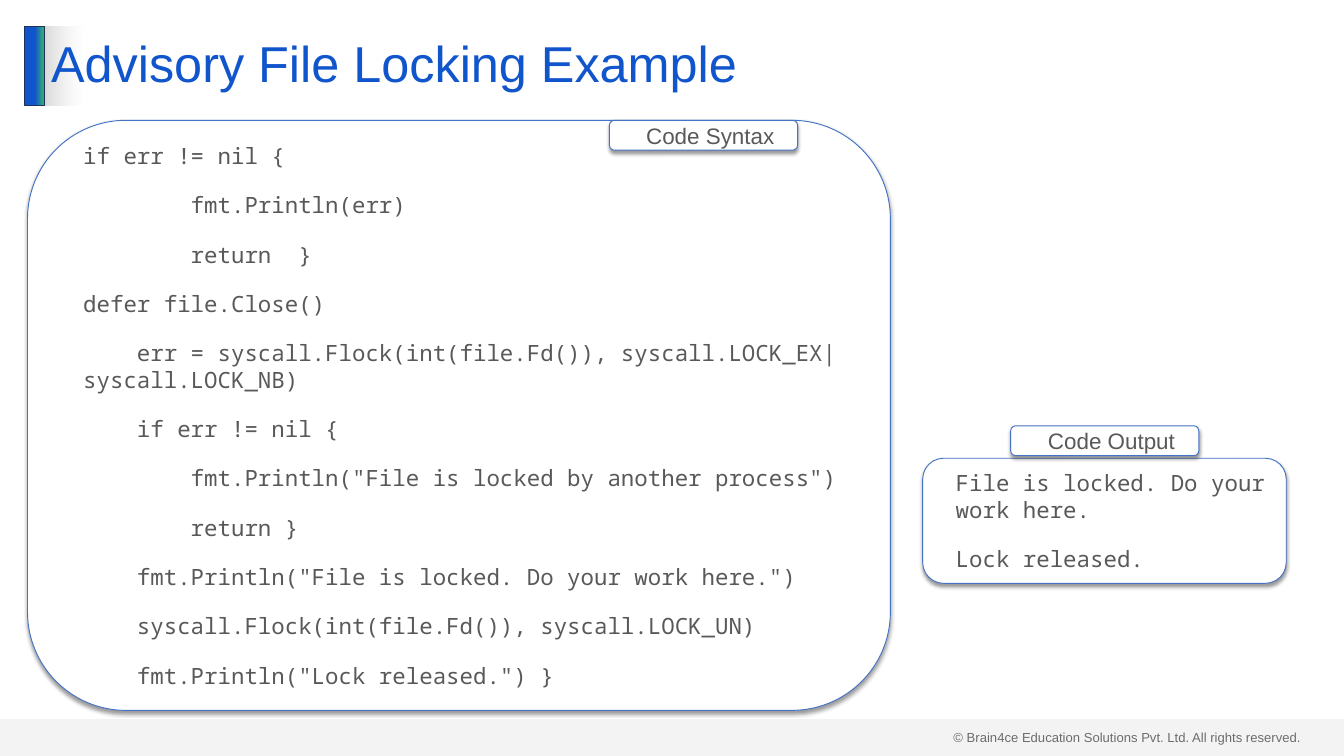
from lxml import etree
from pptx import Presentation
from pptx import util as u
from pptx.dml import color
from pptx.enum import shapes, text
from pptx.oxml import ns

COLORS = {
    "blue": "1155CC", "green": "2EA87D", "navy": "1E3256", "outline": "4472C4",
    "white": "FFFFFF", "grey": "D9D9D9", "body": "595959", "footer": "404040", "black": "000000",
}
SANS, MONO = "Arial", "Noto Sans Mono"
GAP = 12
LABEL_WIDTH, LABEL_HEIGHT = 201.6, 32

CODE = """if err != nil {
        fmt.Println(err)
        return  }
defer file.Close()
    err = syscall.Flock(int(file.Fd()), syscall.LOCK_EX|syscall.LOCK_NB)
    if err != nil {
        fmt.Println("File is locked by another process")
        return }
    fmt.Println("File is locked. Do your work here.")
    syscall.Flock(int(file.Fd()), syscall.LOCK_UN)
    fmt.Println("Lock released.") }"""
OUTPUT = """File is locked. Do your work here.
Lock released."""


def rgb(name):
    return color.RGBColor.from_string(COLORS[name])


def child(parent, tag, **attributes):
    element = etree.SubElement(parent, ns.qn(f"a:{tag}"))
    for key, value in attributes.items():
        element.set(key, str(value))
    return element


def add_color(parent, name, alpha=100):
    element = child(parent, "srgbClr", val=COLORS[name])
    if alpha < 100:
        child(element, "alpha", val=alpha * 1000)


def set_gradient(shape, stops):
    shape.fill.gradient()
    shape.fill.gradient_angle = 0
    stop_list = shape._element.spPr.find(ns.qn("a:gradFill")).find(ns.qn("a:gsLst"))
    for stop in list(stop_list):
        stop_list.remove(stop)
    for position, name, alpha in stops:
        add_color(child(stop_list, "gs", pos=position * 1000), name, alpha)


def set_shadow(shape):
    shape.shadow.inherit = False
    effects = shape._element.spPr.find(ns.qn("a:effectLst"))
    shadow = child(effects, "outerShdw", blurRad=u.Pt(4), dist=u.Pt(3),
                   dir=5400000, algn="t", rotWithShape=0)
    add_color(shadow, "black", 40)


def write(frame, content, font=SANS, size=24, ink="body", align=text.PP_ALIGN.LEFT,
          anchor=text.MSO_ANCHOR.MIDDLE, insets=(7.2, 3.6), indent=0, gap=0, line_spacing=None):
    frame.word_wrap = True
    frame.vertical_anchor = anchor
    frame.margin_left = frame.margin_right = u.Pt(insets[0])
    frame.margin_top = frame.margin_bottom = u.Pt(insets[1])
    lines = content.split("\n")
    for index, line in enumerate(lines):
        paragraph = frame.add_paragraph() if index else frame.paragraphs[0]
        paragraph.text = line
        paragraph.alignment = align
        paragraph.space_before = u.Pt(gap if index else 0)
        paragraph.space_after = u.Pt(gap if index < len(lines) - 1 else 0)
        if line_spacing:
            paragraph.line_spacing = line_spacing
        if indent:
            properties = paragraph._p.get_or_add_pPr()
            properties.set("marL", str(u.Pt(indent)))
            properties.set("indent", "0")
        run_font = paragraph.runs[0].font
        run_font.name, run_font.size = font, u.Pt(size)
        run_font.color.rgb = rgb(ink)


def add_box(slide, kind, box):
    shape = slide.shapes.add_shape(kind, *map(u.Pt, box))
    shape.shadow.inherit = False
    shape.line.fill.background()
    return shape


def add_card(slide, box, content, inset=7.2, **text_format):
    card = add_box(slide, shapes.MSO_SHAPE.ROUNDED_RECTANGLE, box)
    card.fill.solid()
    card.fill.fore_color.rgb = rgb("white")
    card.line.color.rgb = rgb("outline")
    card.line.width = u.Pt(1)
    set_shadow(card)
    write(card.text_frame, content, insets=(14.4, inset), indent=14.4, gap=GAP, **text_format)


def add_footer(slide, box):
    left, top, width, height = box
    notice = slide.shapes.add_textbox(*map(u.Pt, (left + 1014.5, top + 7.2, 389.5, 24.5)))
    write(notice.text_frame, "© Brain4ce Education Solutions Pvt. Ltd. All rights reserved.",
          size=14, ink="footer", anchor=text.MSO_ANCHOR.TOP)
    band = add_box(slide, shapes.MSO_SHAPE.RECTANGLE, box)
    band.fill.solid()
    band.fill.fore_color.rgb = rgb("grey")
    band_color = band._element.spPr.find(ns.qn("a:solidFill"))[0]
    child(band_color, "alpha", val=29000)


def add_header(slide, box):
    left, top, width, height = box
    bar = add_box(slide, shapes.MSO_SHAPE.RECTANGLE, (left, top, 21.6, height))
    set_gradient(bar, [(51, "blue", 100), (90, "green", 100), (100, "green", 100)])
    bar.line.color.rgb = rgb("navy")
    bar.line.width = u.Pt(1)

    title = slide.shapes.title
    title.left, title.top = u.Pt(left + 20.9), u.Pt(top)
    title.width, title.height = u.Pt(width - 20.9), u.Pt(height)
    set_gradient(title, [(0, "grey", 100), (3, "white", 50), (100, "white", 50)])
    write(title.text_frame, "Advisory File Locking Example", size=54, ink="blue", line_spacing=0.9)
    title.text_frame.auto_size = text.MSO_AUTO_SIZE.NONE


def add_panel(slide, box, content, label, label_offset):
    left, top = box[:2]
    add_card(slide, box, content, font=MONO)
    label_box = (left + label_offset[0], top + label_offset[1], LABEL_WIDTH, LABEL_HEIGHT)
    add_card(slide, label_box, label, inset=0, align=text.PP_ALIGN.CENTER)


def main():
    presentation = Presentation()
    presentation.slide_width, presentation.slide_height = u.Pt(1440), u.Pt(810)
    slide = presentation.slides.add_slide(presentation.slide_layouts[5])
    add_footer(slide, (0, 770.4, 1440, 39.6))
    add_header(slide, (26.6, 28, 1365.1, 85))
    add_panel(slide, (29.5, 128.9, 924.5, 632.2), CODE, "Code Syntax", (623.5, 0))
    add_panel(slide, (988.6, 491, 389.5, 134), OUTPUT, "Code Output", (94.3, -LABEL_HEIGHT - 2.8))
    presentation.save("out.pptx")


if __name__ == "__main__":
    main()
